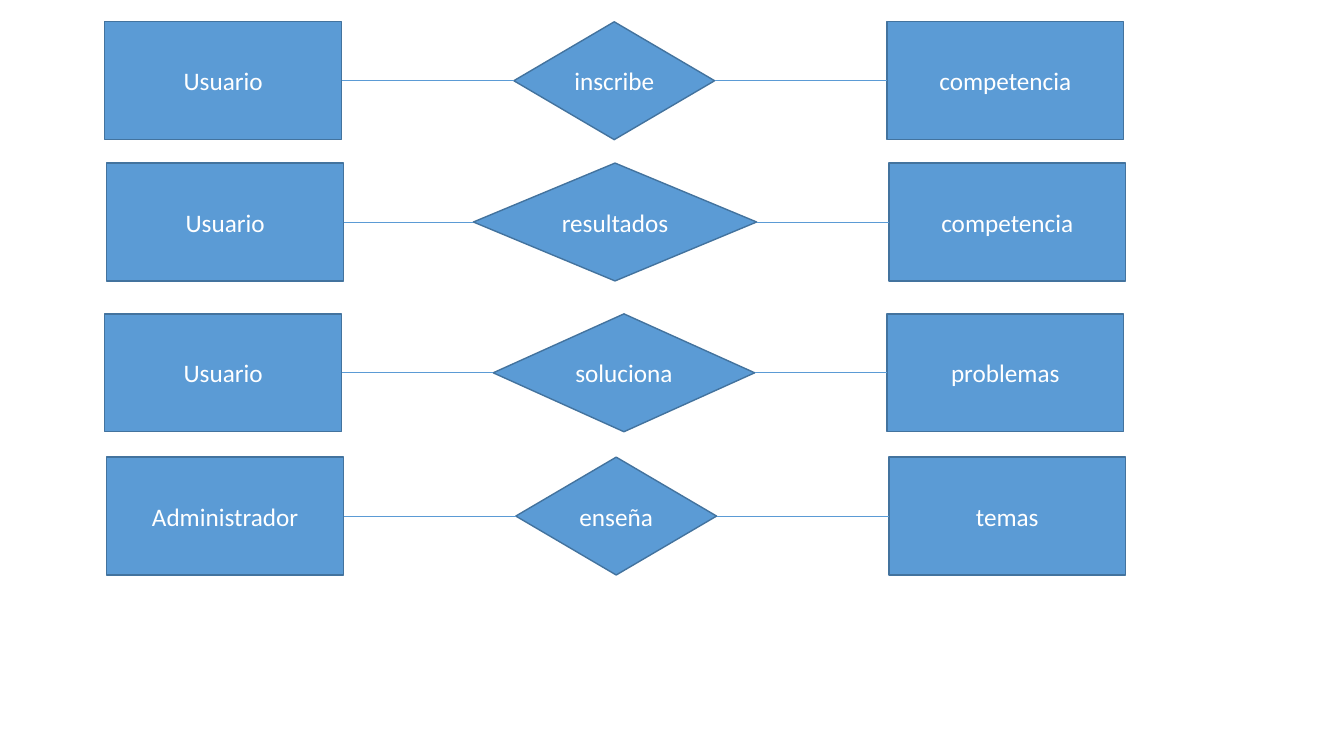
import pptx
import pptx.dml.color
import pptx.enum.shapes
import pptx.enum.text
import pptx.oxml.ns
import pptx.util
from lxml import etree
from pptx.util import Cm

FILL, OUTLINE, TEXT = "5B9BD5", "43739E", "FFFFFF"
ENTITY_WIDTH, ROW_HEIGHT = 5.97, 2.97
ENTITY_DISTANCE = 19.71  # from left entity to right entity
LEFT_SITE, RIGHT_SITE = 1, 3  # connection sites of both shape kinds

# entity, relation, entity, left, top, diamond left, diamond width (cm)
ROWS = [
    ("Usuario", "inscribe", "competencia", 2.64, 0.55, 12.95, 5.06),
    ("Usuario", "resultados", "competencia", 2.69, 4.11, 11.93, 7.14),
    ("Usuario", "soluciona", "problemas", 2.64, 7.91, 12.43, 6.59),
    ("Administrador", "enseña", "temas", 2.69, 11.52, 13.0, 5.06),
]


def color(value):
    return pptx.dml.color.RGBColor.from_string(value)


def add_labelled_shape(slide, kind, label, left, top, width):
    shape = slide.shapes.add_shape(kind, Cm(left), Cm(top), Cm(width), Cm(ROW_HEIGHT))
    shape.shadow.inherit = False
    shape.fill.solid()
    shape.fill.fore_color.rgb = color(FILL)
    shape.line.color.rgb = color(OUTLINE)
    shape.line.width = pptx.util.Pt(1)

    text_frame = shape.text_frame
    text_frame.word_wrap = True
    text_frame.margin_left = text_frame.margin_right = 0
    text_frame.vertical_anchor = pptx.enum.text.MSO_ANCHOR.MIDDLE
    text_frame.text = label
    paragraph = text_frame.paragraphs[0]
    paragraph.alignment = pptx.enum.text.PP_ALIGN.CENTER
    font = paragraph.runs[0].font
    font.name = "Calibri"
    font.size = pptx.util.Pt(18)
    font.color.rgb = color(TEXT)
    return shape


def add_entity(slide, label, left, top):
    kind = pptx.enum.shapes.MSO_SHAPE.RECTANGLE
    return add_labelled_shape(slide, kind, label, left, top, ENTITY_WIDTH)


def add_relation(slide, label, left, top, width):
    kind = pptx.enum.shapes.MSO_SHAPE.FLOWCHART_DECISION
    return add_labelled_shape(slide, kind, label, left, top, width)


def connect(slide, start, end):
    straight = pptx.enum.shapes.MSO_CONNECTOR.STRAIGHT
    connector = slide.shapes.add_connector(straight, 0, 0, 0, 0)
    connector.begin_connect(start, RIGHT_SITE)
    connector.end_connect(end, LEFT_SITE)
    connector.line.color.rgb = color(FILL)
    connector.line.width = pptx.util.Pt(0.5)
    properties = connector._element.spPr
    etree.SubElement(properties, pptx.oxml.ns.qn("a:effectLst"))


def main():
    presentation = pptx.Presentation()
    presentation.slide_width = Cm(33.87)
    presentation.slide_height = Cm(19.05)
    slide = presentation.slides.add_slide(presentation.slide_layouts[6])

    # One entity-relation-entity chain per row
    for source, relation, target, left, top, diamond_left, diamond_width in ROWS:
        source_shape = add_entity(slide, source, left, top)
        target_shape = add_entity(slide, target, left + ENTITY_DISTANCE, top)
        diamond = add_relation(slide, relation, diamond_left, top, diamond_width)
        connect(slide, source_shape, diamond)
        connect(slide, diamond, target_shape)

    presentation.save("out.pptx")


if __name__ == "__main__":
    main()
